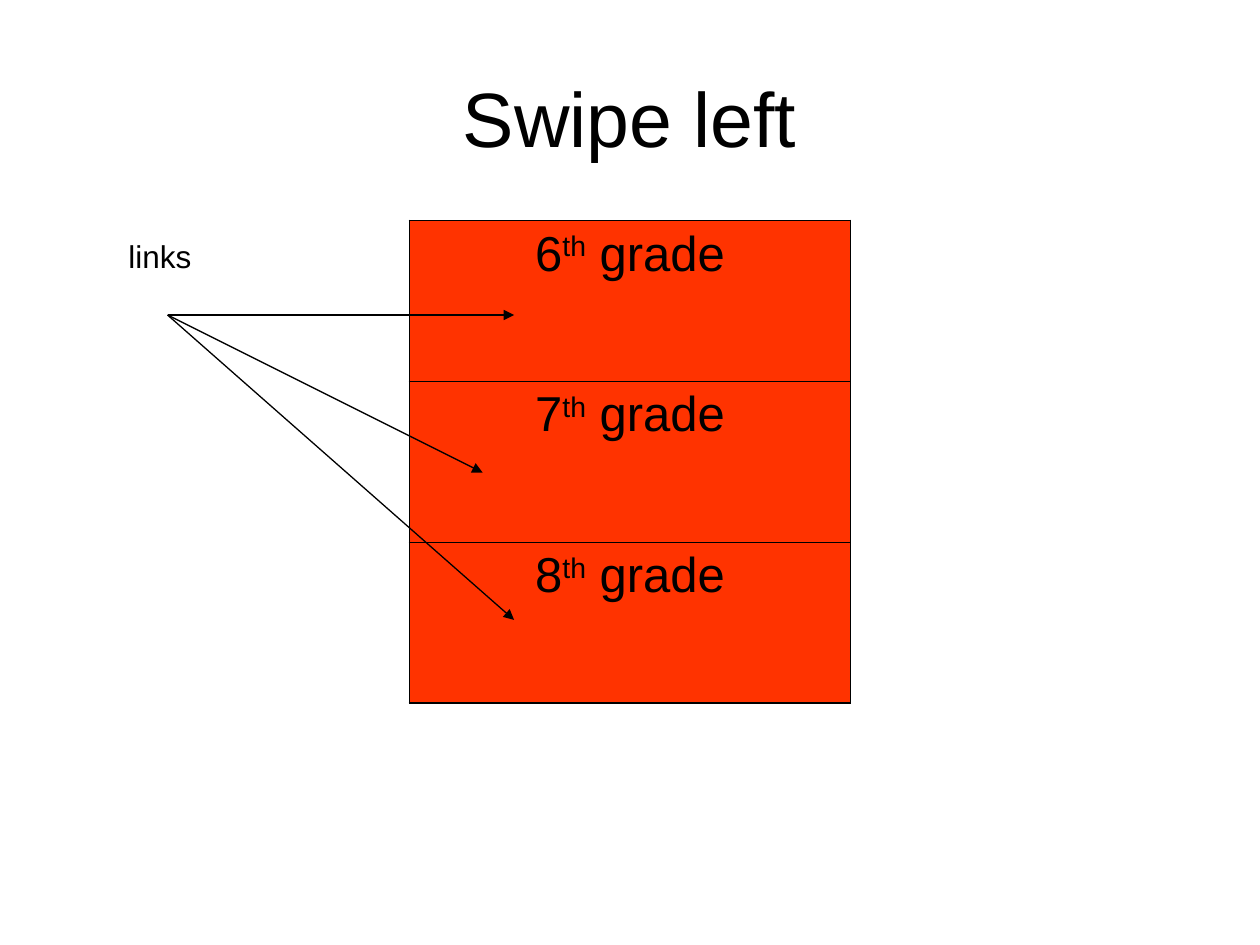
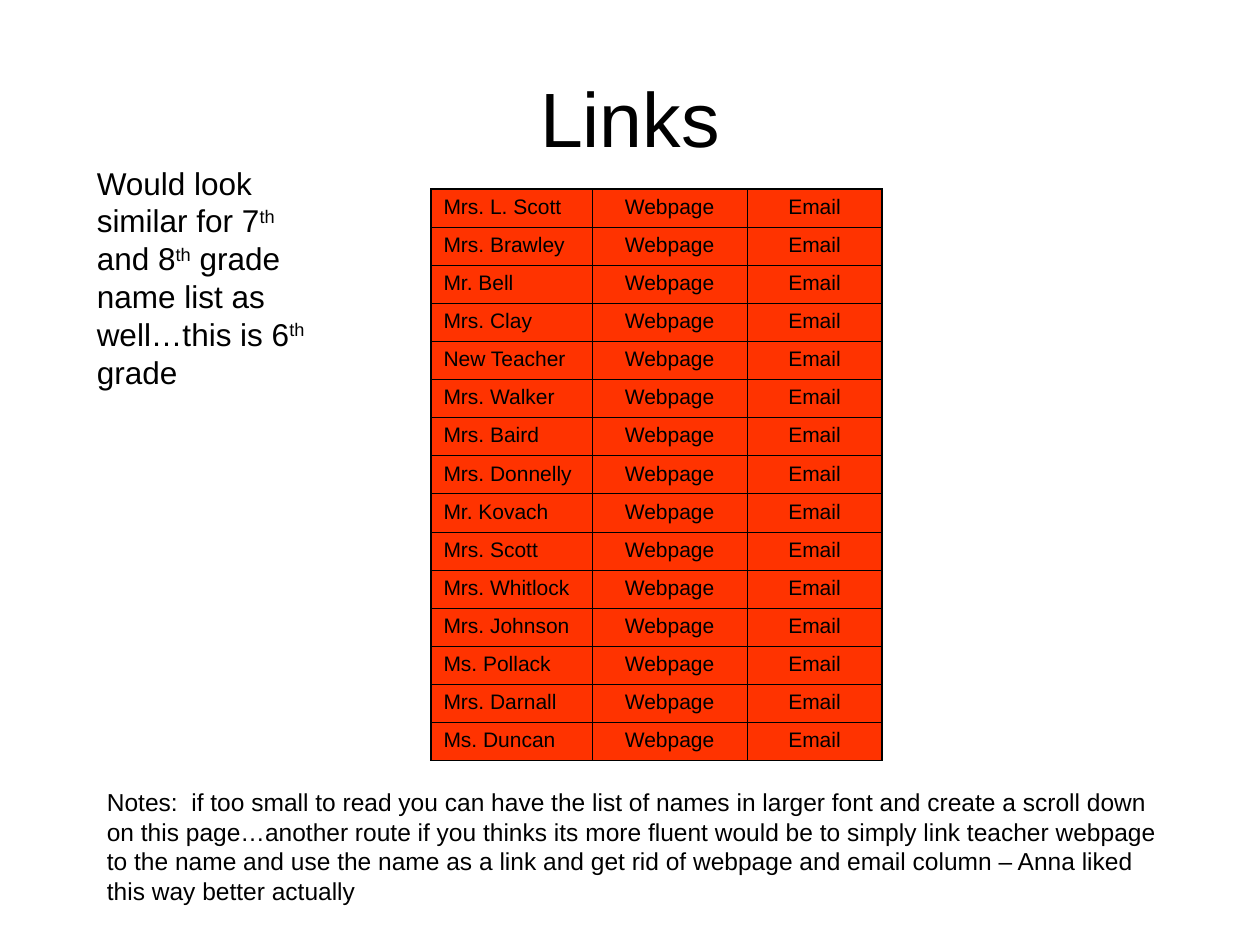
from lxml import etree
from pptx import Presentation
from pptx.dml.color import RGBColor
from pptx.enum.shapes import MSO_CONNECTOR
from pptx.enum.text import MSO_ANCHOR, MSO_AUTO_SIZE, PP_ALIGN
from pptx.oxml.ns import qn
from pptx.util import Inches, Pt

LEFT, CENTER = PP_ALIGN.LEFT, PP_ALIGN.CENTER
TOP, MIDDLE = MSO_ANCHOR.TOP, MSO_ANCHOR.MIDDLE
GROW = MSO_AUTO_SIZE.SHAPE_TO_FIT_TEXT
STRAIGHT = MSO_CONNECTOR.STRAIGHT

FONT = "Arial"
BLACK = "000000"
RED = "FF3300"
OUTER_BORDER, INNER_BORDER = 1.08, 0.45

GRADES = ["6^th^ grade", "7^th^ grade", "8^th^ grade"]
TEACHERS = [
    "Mrs. L. Scott", "Mrs. Brawley", "Mr. Bell", "Mrs. Clay", "New Teacher",
    "Mrs. Walker", "Mrs. Baird", "Mrs. Donnelly", "Mr. Kovach", "Mrs. Scott",
    "Mrs. Whitlock", "Mrs. Johnson", "Ms. Pollack", "Mrs. Darnall", "Ms. Duncan",
]
SIMILAR_LISTS = ("Would look similar for 7^th^ and 8^th^ grade name list as "
                 "well…this is 6^th^ grade")
NOTES = ("Notes:  if too small to read you can have the list of names in larger "
         "font and create a scroll down on this page…another route if you thinks "
         "its more fluent would be to simply link teacher webpage to the name and "
         "use the name as a link and get rid of webpage and email column – Anna "
         "liked this way better actually")


def color(hex_code):
    return RGBColor.from_string(hex_code)


def write(frame, text, size, align):
    paragraph = frame.paragraphs[0]
    paragraph.alignment = align
    paragraph.font.name = FONT
    paragraph.font.size = Pt(size)
    paragraph.font.color.rgb = color(BLACK)
    for index, part in enumerate(text.split("^")):
        if part:
            run = paragraph.add_run()
            run.text = part
            if index % 2:
                run._r.get_or_add_rPr().set("baseline", "30000")


def add_text(slide, box, text, size, align=LEFT, anchor=TOP):
    frame = slide.shapes.add_textbox(*map(Inches, box)).text_frame
    frame.word_wrap = True
    frame.vertical_anchor = anchor
    if anchor == TOP:
        frame.auto_size = GROW
    write(frame, text, size, align)


def add_title(slide, text):
    add_text(slide, (0.5, 0.3, 9, 1.25), text, 44, CENTER, MIDDLE)


def add_border(cell, side, width):
    properties = cell._tc.get_or_add_tcPr()
    line = etree.SubElement(properties, qn(f"a:ln{side}"), w=str(Pt(width)))
    fill = etree.SubElement(line, qn("a:solidFill"))
    etree.SubElement(fill, qn("a:srgbClr"), val=BLACK)


def add_red_table(slide, box, column_widths, rows, size, aligns):
    last_row, last_column = len(rows) - 1, len(column_widths) - 1
    table = slide.shapes.add_table(
        len(rows), len(column_widths), *map(Inches, box)).table
    table.first_row = table.horz_banding = False
    for column, width in zip(table.columns, column_widths):
        column.width = Inches(width)
    for r, texts in enumerate(rows):
        table.rows[r].height = Inches(box[3] / len(rows))
        for c, text in enumerate(texts):
            cell = table.cell(r, c)
            edges = {"L": c == 0, "R": c == last_column,
                     "T": r == 0, "B": r == last_row}
            for side, is_outer in edges.items():
                add_border(cell, side, OUTER_BORDER if is_outer else INNER_BORDER)
            cell.fill.solid()
            cell.fill.fore_color.rgb = color(RED)
            write(cell.text_frame, text, size, aligns[c])


def add_arrow(slide, start, end):
    arrow = slide.shapes.add_connector(STRAIGHT, *map(Inches, start + end))
    arrow.line.color.rgb = color(BLACK)
    arrow.line.width = Pt(0.75)
    etree.SubElement(arrow.line._get_or_add_ln(), qn("a:tailEnd"), type="triangle")
    etree.SubElement(arrow._element.spPr, qn("a:effectLst"))


def add_grade_menu(slide, box):
    left, top, width, _ = box
    add_red_table(slide, box, [width], [[grade] for grade in GRADES], 28, [CENTER])
    source = (left - 1.92, top + 0.75)
    for dx, dy in [(0.83, 0.75), (0.58, 2), (0.83, 3.17)]:
        add_arrow(slide, source, (left + dx, top + dy))
    add_text(slide, (left - 2.33, top + 0.08, 1.5, 0.4), "links", 18)


def add_teacher_list(slide, box):
    rows = [[teacher, "Webpage", "Email"] for teacher in TEACHERS]
    add_red_table(slide, box, [1.28, 1.23, 1.07], rows, 12, [LEFT, CENTER, CENTER])


def build_swipe_slide(slide):
    add_title(slide, "Swipe left")
    add_grade_menu(slide, (3.25, 1.75, 3.5, 3.83))


def build_links_slide(slide):
    add_title(slide, "Links")
    add_teacher_list(slide, (3.42, 1.5, 3.58, 4.54))
    add_text(slide, (0.75, 6.2, 8.67, 1.04), NOTES, 14)
    add_text(slide, (0.67, 1.25, 2, 1.9), SIMILAR_LISTS, 18)


def main():
    deck = Presentation()
    deck.slide_width, deck.slide_height = Inches(10), Inches(7.5)
    blank = deck.slide_layouts[6]
    for build in (build_swipe_slide, build_links_slide):
        build(deck.slides.add_slide(blank))
    deck.save("out.pptx")


if __name__ == "__main__":
    main()
